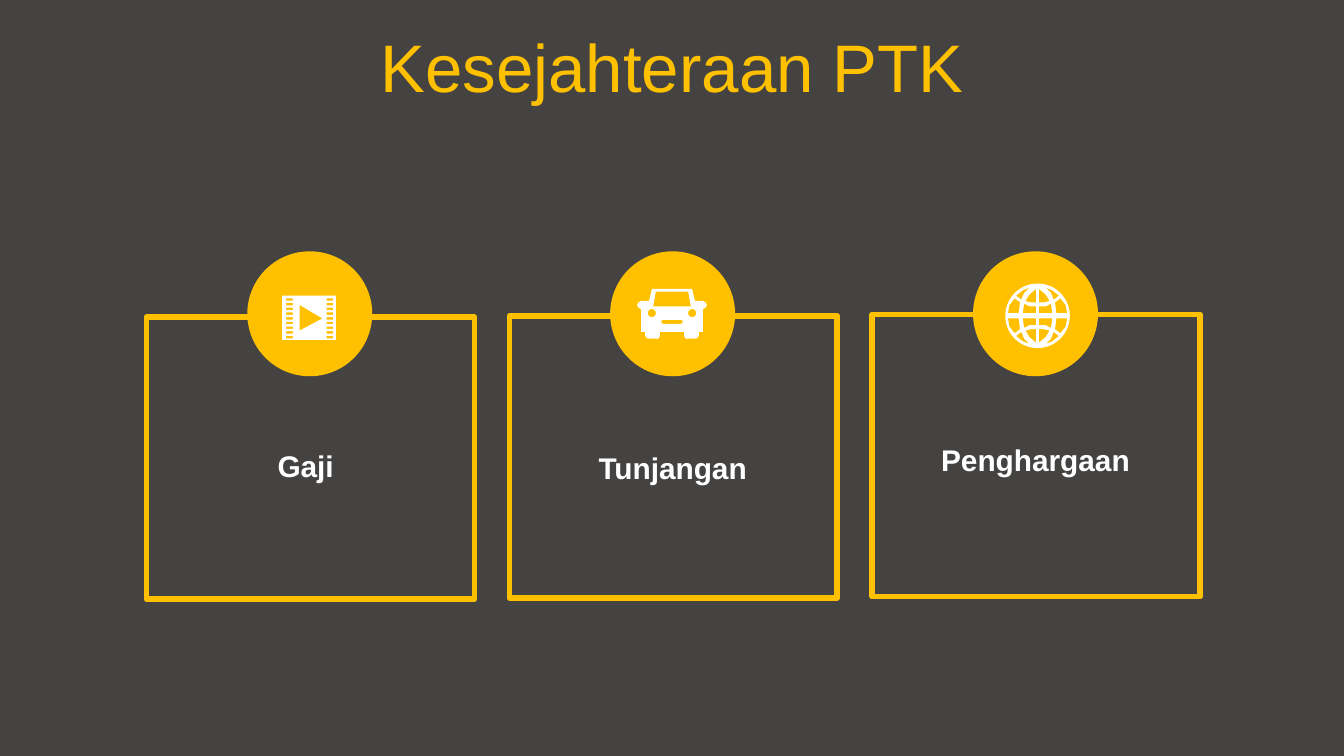
"""Build the "Kesejahteraan PTK" slide with three framed cards and icons."""
import math

import pptx
import pptx.dml.color
import pptx.enum.shapes
import pptx.enum.text
import pptx.util

Inches = pptx.util.Inches
SHAPE = pptx.enum.shapes.MSO_SHAPE
ANCHOR = pptx.enum.text.MSO_ANCHOR
GOLD, WHITE, DARK = "FFC000", "FFFFFF", "444342"


def rgb(value):
    return pptx.dml.color.RGBColor.from_string(value)


def write(tf, text, size, color, bold=False, anchor=ANCHOR.TOP):
    tf.word_wrap = True
    tf.vertical_anchor = anchor
    p = tf.paragraphs[0]
    p.alignment = pptx.enum.text.PP_ALIGN.CENTER
    r = p.add_run()
    r.text = text
    r.font.name = "Arial"
    r.font.size = pptx.util.Pt(size)
    r.font.bold = bold
    r.font.color.rgb = rgb(color)


def rect(x, y, w, h):
    return [(x, y), (x + w, y), (x + w, y + h), (x, y + h)]


def circle(x, y, radius, steps=60):
    angles = [2 * math.pi * i / steps for i in range(steps)]
    return [(x + radius * math.cos(a), y + radius * math.sin(a)) for a in angles]


def mirrored(half):
    return half + [(-x, y) for x, y in reversed(half)]


def film():
    holes = [rect(x, 0.02 + 0.035 * row, 0.05, 0.018)
             for row in range(9) for x in (0.03, 0.33)]
    play = [(0.13, 0.07), (0.13, 0.26), (0.3, 0.17)]
    return [rect(0, 0, 0.4, 0.33), play] + holes


def car():
    body = [(0.15, 0), (0.17, 0.09), (0.19, 0.09), (0.23, 0.09), (0.25, 0.1),
            (0.26, 0.12), (0.25, 0.14), (0.23, 0.15), (0.23, 0.32), (0.2, 0.32),
            (0.2, 0.35), (0.18, 0.37), (0.1, 0.37), (0.09, 0.35), (0.09, 0.32)]
    window = [(0.12, 0.02), (0.14, 0.13)]
    grille = [(0.07, 0.23), (0.08, 0.24), (0.08, 0.25), (0.07, 0.26)]
    lights = [circle(x, 0.18, 0.03) for x in (-0.15, 0.15)]
    return [mirrored(half) for half in (body, window, grille)] + lights


def globe():
    cells = [
        [(0.01, 0.02), (0.01, 0.07), (0.06, 0.07), (0.1, 0.09), (0.11, 0.02)],
        [(0.14, 0.02), (0.13, 0.1), (0.17, 0.13), (0.21, 0.08), (0.22, 0.02)],
        [(0.01, 0.1), (0.01, 0.2), (0.06, 0.16), (0.09, 0.11), (0.05, 0.1)],
        [(0.12, 0.12), (0.1, 0.17), (0.06, 0.21), (0.11, 0.19), (0.16, 0.15)],
    ]
    return [circle(0, 0, 0.24)] + [
        [(sx * x, sy * y) for x, y in cell]
        for cell in cells for sx in (-1, 1) for sy in (-1, 1)]


class Deck:
    """Hold the style and the current slide."""

    def __init__(self):
        self.prs = pptx.Presentation()
        self.prs.slide_width = Inches(10)
        self.prs.slide_height = Inches(10 * 9 / 16)
        self.s = self.prs.slides.add_slide(self.prs.slide_layouts[5])
        self.s.background.fill.solid()
        self.s.background.fill.fore_color.rgb = rgb(DARK)

    def title(self, text):
        sp = self.s.shapes.title
        sp.left, sp.top, sp.width, sp.height = map(Inches, (0, 0.17, 10, 0.63))
        write(sp.text_frame, text, 36, GOLD, anchor=ANCHOR.MIDDLE)

    def paint(self, sp, fill=None, line=None):
        sp.shadow.inherit = False
        if fill:
            sp.fill.solid()
            sp.fill.fore_color.rgb = rgb(fill)
        else:
            sp.fill.background()
        if line:
            sp.line.color.rgb = rgb(line)
            sp.line.width = pptx.util.Pt(3)
        else:
            sp.line.fill.background()

    def card(self, x, y):
        shapes = self.s.shapes.add_group_shape().shapes
        frame = shapes.add_shape(SHAPE.RECTANGLE, *map(Inches, (x, y, 2.44, 2.1)))
        self.paint(frame, line=GOLD)
        badge = shapes.add_shape(
            SHAPE.OVAL, *map(Inches, (x + 0.75, 1.87, 0.93, 0.93)))
        self.paint(badge, fill=GOLD)

    def icon(self, x, y, contours):
        placed = [[(Inches(x + dx), Inches(y + dy)) for dx, dy in contour]
                  for contour in contours]
        builder = self.s.shapes.build_freeform(*placed[0][0])
        for contour in placed:
            builder.move_to(*contour[0])
            builder.add_line_segments(contour[1:], close=True)
        self.paint(builder.convert_to_shape(), fill=WHITE)

    def label(self, x, y, text):
        sp = self.s.shapes.add_textbox(*map(Inches, (x, y, 1.99, 0.37)))
        write(sp.text_frame, text, 16, WHITE, bold=True)


def main():
    deck = Deck()
    deck.title("Kesejahteraan PTK")
    cards = [
        ("Gaji ", 3.28, film(), 2.1, 2.2),
        ("Tunjangan", 3.3, car(), 5, 2.15),
        ("Penghargaan", 3.24, globe(), 7.72, 2.35),
    ]
    for i, (text, label_y, contours, icon_x, icon_y) in enumerate(cards):
        x = 1.09 + 2.7 * i
        deck.card(x, 2.36 - 0.01 * i)
        deck.icon(icon_x, icon_y, contours)
        deck.label(x + 0.22, label_y, text)
    deck.prs.save("out.pptx")


if __name__ == "__main__":
    main()
